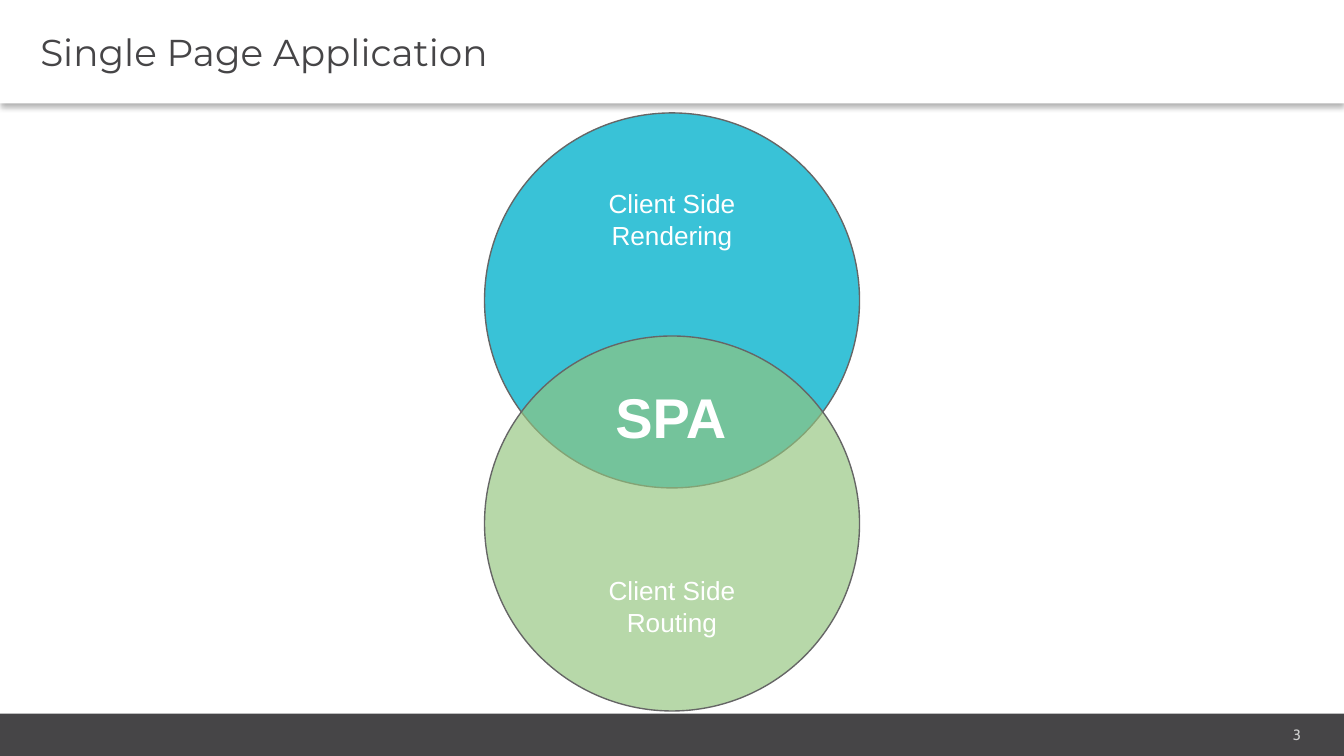
from dataclasses import dataclass

from lxml import etree
from pptx import Presentation
from pptx.dml import color
from pptx.enum import shapes, text
from pptx.oxml import ns
from pptx.util import Inches, Pt


@dataclass(frozen=True)
class Theme:
    white: str = "FFFFFF"
    dark: str = "464547"
    outline: str = "666666"
    page: str = "CCCCCC"
    blue: str = "39C2D7"
    green: str = "93C47D"
    title_font: str = "Montserrat"
    body_font: str = "Arial"
    page_font: str = "Cabin"
    title_size: int = 20
    label_size: int = 14
    overlap_size: int = 30
    page_size: int = 8


THEME = Theme()
WIDTH = 10
HEIGHT = WIDTH * 9 / 16
FOOTER_TOP = 5.31
HEADING = "Single Page Application"
OVERLAP = "SPA"
PAGE = "3"
DIAMETER = 2.79
LABEL_WIDTH, LABEL_HEIGHT = 1.18, 0.68
CIRCLES = [
    {"lines": ["Client Side", "Rendering"], "top": 0.84, "label_top": 1.29,
     "fill": THEME.blue, "opacity": 100},
    {"lines": ["Client Side", "Routing"], "top": 2.5, "label_top": 4.17,
     "fill": THEME.green, "opacity": 66},
]
TITLE_INSETS = (0.3, 0.04, 0.07, 0.04)
PAGE_INSETS = (0.07, 0.04, 0.07, 0.04)
LABEL_INSETS = (0.1, 0.1, 0.1, 0.1)


def rgb(value):
    return color.RGBColor.from_string(value)


def add_filled(slide, kind, box, fill, outline=None, opacity=100):
    shape = slide.shapes.add_shape(kind, *map(Inches, box))
    shape.shadow.inherit = False
    shape.fill.solid()
    shape.fill.fore_color.rgb = rgb(fill)
    if opacity < 100:
        tint = shape._element.spPr.find(ns.qn("a:solidFill"))[0]
        etree.SubElement(tint, ns.qn("a:alpha"), val=str(opacity * 1000))
    if outline:
        shape.line.color.rgb = rgb(outline)
        shape.line.width = Pt(0.75)
    else:
        shape.line.fill.background()
    return shape


def write(shape, lines, font, size, ink, insets, align="LEFT", anchor="TOP", bold=False):
    frame = shape.text_frame
    frame.word_wrap = True
    frame.vertical_anchor = text.MSO_ANCHOR[anchor]
    (frame.margin_left, frame.margin_top,
     frame.margin_right, frame.margin_bottom) = map(Inches, insets)
    paragraph = frame.paragraphs[0]
    paragraph.alignment = text.PP_ALIGN[align]
    for index, line in enumerate(lines):
        if index:
            paragraph.add_line_break()
        run = paragraph.add_run()
        run.text = line
        run.font.name = font
        run.font.size = Pt(size)
        run.font.bold = bold
        run.font.color.rgb = rgb(ink)


def add_label(slide, box, *args, **options):
    write(slide.shapes.add_textbox(*map(Inches, box)), *args, **options)


def cast_shadow(shape):
    effects = shape._element.spPr.find(ns.qn("a:effectLst"))
    shadow = etree.SubElement(effects, ns.qn("a:outerShdw"), blurRad=str(Pt(3.1)),
                              dist=str(Pt(2)), dir=str(90 * 60000), rotWithShape="0")
    tint = etree.SubElement(shadow, ns.qn("a:srgbClr"), val="000000")
    etree.SubElement(tint, ns.qn("a:alpha"), val="30000")


def main():
    deck = Presentation()
    deck.slide_width, deck.slide_height = Inches(WIDTH), Inches(HEIGHT)
    slide = deck.slides.add_slide(deck.slide_layouts[6])
    kinds = shapes.MSO_SHAPE

    add_filled(slide, kinds.RECTANGLE,
               (0, FOOTER_TOP, WIDTH, HEIGHT - FOOTER_TOP), THEME.dark)
    add_label(slide, (8.12, 5.36, 1.63, 0.21), [PAGE], THEME.page_font,
              THEME.page_size, THEME.page, PAGE_INSETS, align="RIGHT")

    header = add_filled(slide, kinds.RECTANGLE, (0, 0, WIDTH, 0.77), THEME.white)
    cast_shadow(header)
    write(header, [HEADING], THEME.title_font, THEME.title_size, THEME.dark,
          TITLE_INSETS, anchor="MIDDLE")

    for circle in CIRCLES:
        add_filled(slide, kinds.OVAL,
                   ((WIDTH - DIAMETER) / 2, circle["top"], DIAMETER, DIAMETER),
                   circle["fill"], THEME.outline, circle["opacity"])
        add_label(slide, ((WIDTH - LABEL_WIDTH) / 2, circle["label_top"],
                          LABEL_WIDTH, LABEL_HEIGHT),
                  circle["lines"], THEME.body_font, THEME.label_size, THEME.white,
                  LABEL_INSETS, align="CENTER", anchor="MIDDLE")

    add_label(slide, (4.48, 2.75, 1.15, 0.5), [OVERLAP], THEME.body_font,
              THEME.overlap_size, THEME.white, LABEL_INSETS, bold=True)
    deck.save("out.pptx")


if __name__ == "__main__":
    main()
